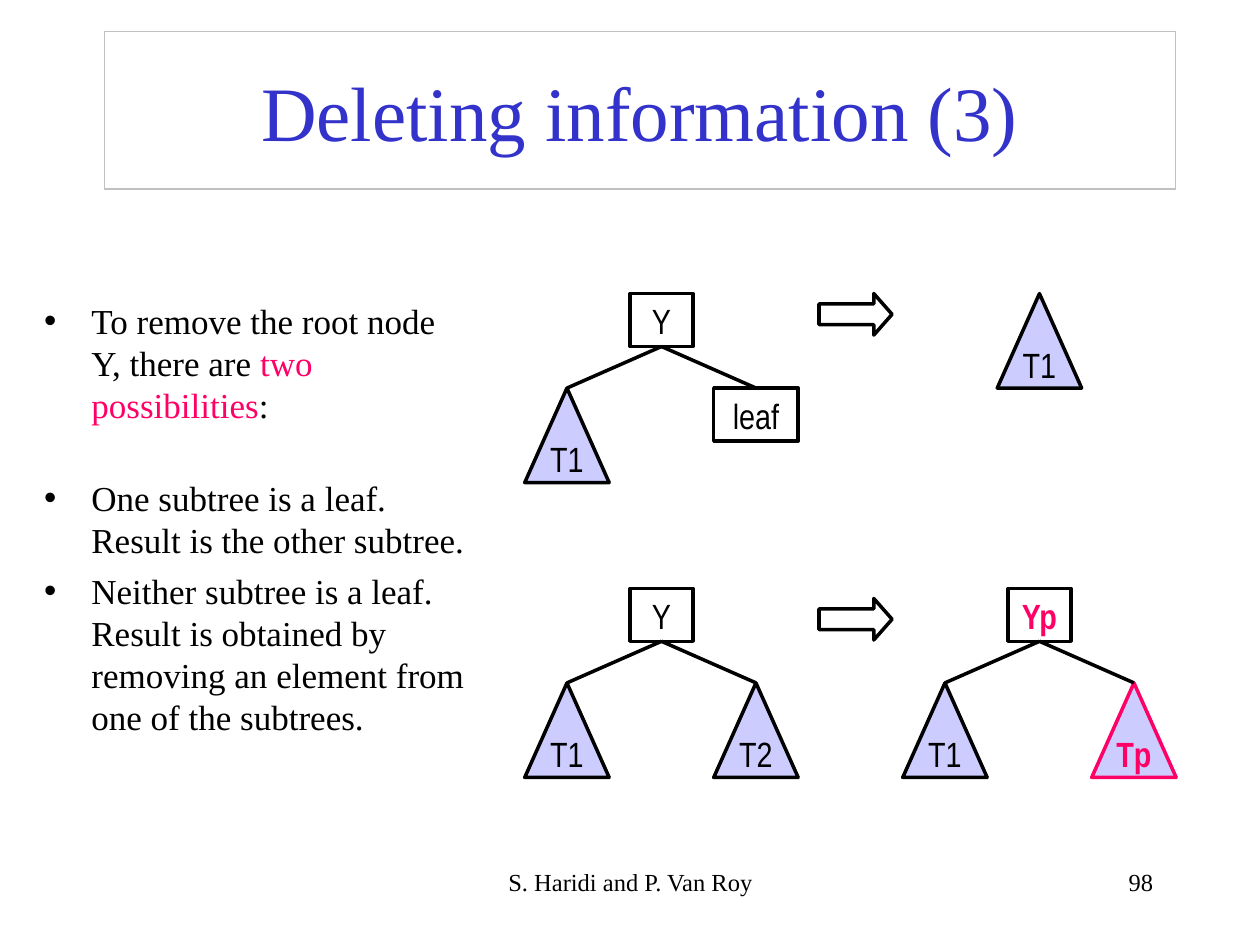
import pptx
import pptx.util
import pptx.dml.color
import pptx.enum.shapes
import pptx.enum.text
import pptx.oxml.ns
import lxml.etree

Inches = pptx.util.Inches
Pt = pptx.util.Pt
Shape = pptx.enum.shapes.MSO_SHAPE
Align = pptx.enum.text.PP_ALIGN
Anchor = pptx.enum.text.MSO_ANCHOR
Fit = pptx.enum.text.MSO_AUTO_SIZE

BLACK, PINK, LILAC, BLUE, GREY = "000000", "FF0066", "CCCCFF", "3333CC", "C0C0C0"
SERIF, NARROW = "Times New Roman", "Arial Narrow"


def color(code):
    return pptx.dml.color.RGBColor.from_string(code)


class Deck:
    def __init__(self):
        self.show = pptx.Presentation()
        self.show.slide_width = Inches(10)
        self.show.slide_height = Inches(7.5)
        self.slide = self.show.slides.add_slide(self.show.slide_layouts[1])
        self.shapes = self.slide.shapes

    def place(self, shape, left, top, width, height):
        shape.left, shape.top = Inches(left), Inches(top)
        shape.width, shape.height = Inches(width), Inches(height)

    def style(self, para, face, size, ink=BLACK, bold=False):
        font = para.font
        font.name, font.size, font.bold = face, Pt(size), bold
        font.color.rgb = color(ink)

    def title(self, text, *box):
        head = self.shapes.title
        self.place(head, *box)
        head.line.color.rgb = color(GREY)
        head.line.width = Pt(0.75)
        head.text_frame.text = text
        head.text_frame.auto_size = Fit.NONE
        self.style(head.text_frame.paragraphs[0], SERIF, 44, BLUE)

    def list(self, items, *box):
        body = self.slide.placeholders[1]
        self.place(body, *box)
        frame = body.text_frame
        frame.auto_size = Fit.NONE
        for i, (gap, runs) in enumerate(items):
            para = frame.add_paragraph() if i else frame.paragraphs[0]
            para.space_before, para.line_spacing = Pt(gap), Pt(24)
            self.style(para, SERIF, 20)
            for text, ink in runs:
                run = para.add_run()
                run.text = text
                run.font.color.rgb = color(ink)

    def shape(self, kind, *box, fill=None, ink=BLACK):
        item = self.shapes.add_shape(kind, *map(Inches, box))
        item.shadow.inherit = False
        if fill:
            item.fill.solid()
            item.fill.fore_color.rgb = color(fill)
        else:
            item.fill.background()
        item.line.color.rgb = color(ink)
        item.line.width = Pt(2)
        return item

    def label(self, item, text, anchor, ink):
        frame = item.text_frame
        frame.text = text
        frame.word_wrap = False
        frame.vertical_anchor = anchor
        para = frame.paragraphs[0]
        para.alignment = Align.CENTER
        self.style(para, NARROW, 20, ink, ink == PINK)

    def node(self, text, mid, top, width=0.5, ink=BLACK):
        item = self.shape(Shape.RECTANGLE, mid - width / 2, top, width, 0.42)
        self.label(item, text, Anchor.TOP, ink)
        return item

    def leaf(self, text, mid, top):
        return self.node(text, mid, top, 0.67)

    def branch(self, text, mid, top, ink=BLACK):
        item = self.shape(Shape.ISOSCELES_TRIANGLE, mid - 0.335, top, 0.67, 0.75,
                          fill=LILAC, ink=ink)
        self.label(item, text, Anchor.MIDDLE, ink)
        return item

    def link(self, root, child):
        line = self.shapes.add_connector(
            pptx.enum.shapes.MSO_CONNECTOR.STRAIGHT, 0, 0, 0, 0)
        line.begin_connect(root, 2)
        line.end_connect(child, 0)
        line.line.color.rgb = color(BLACK)
        line.line.width = Pt(2)
        props = line._element.spPr
        lxml.etree.SubElement(props, pptx.oxml.ns.qn("a:effectLst"))

    def tree(self, text, mid, top, left, right, ink=BLACK):
        root = self.node(text, mid, top, ink=ink)
        for side, (make, name, *args) in ((-1, left), (1, right)):
            self.link(root, make(name, mid + side * 0.75, top + 0.75, *args))

    def arrow(self, left, top):
        item = self.shape(Shape.RIGHT_ARROW, left, top, 0.58, 0.33)
        item.adjustments[1] = 0.44

    def note(self, text, align, *box):
        frame = self.shapes.add_textbox(*map(Inches, box)).text_frame
        frame.word_wrap = True
        frame.text = text
        para = frame.paragraphs[0]
        para.alignment = align
        self.style(para, SERIF, 14)


def main():
    deck = Deck()
    deck.title("Deleting information (3)", 0.83, 0.25, 8.5, 1.25)
    deck.list([
        (5, [("To remove the root node Y, there are ", BLACK),
             ("two possibilities", PINK), (":", BLACK)]),
        (29, [("One subtree is a leaf. Result is the other subtree.", BLACK)]),
        (5, [("Neither subtree is a leaf. Result is obtained by removing "
              "an element from one of the subtrees.", BLACK)]),
    ], 0.25, 2.33, 3.58, 4.33)

    high, low = 2.33, 4.67
    first = (deck.branch, "T1")
    deck.tree("Y", 5.25, high, first, (deck.leaf, "leaf"))
    deck.arrow(6.5, high)
    deck.branch("T1", 8.25, high)
    deck.tree("Y", 5.25, low, first, (deck.branch, "T2"))
    deck.arrow(6.5, low + 0.08)
    deck.tree("Yp", 8.25, low, first, (deck.branch, "Tp", PINK), PINK)

    deck.note("S. Haridi and P. Van Roy", Align.CENTER, 3.42, 6.83, 3.17, 0.5)
    deck.note("98", Align.RIGHT, 7.17, 6.83, 2.08, 0.5)
    deck.show.save("out.pptx")


if __name__ == "__main__":
    main()
